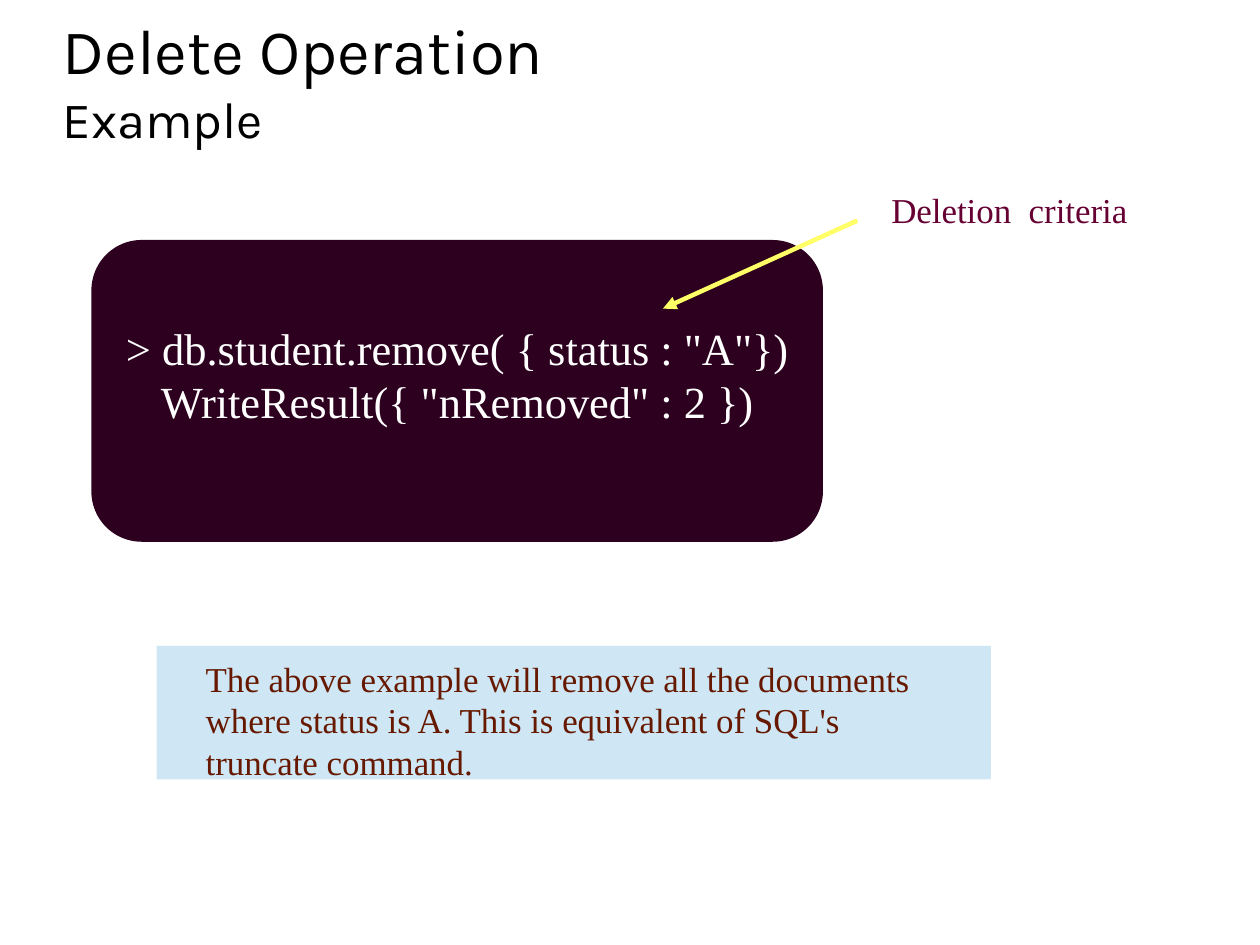
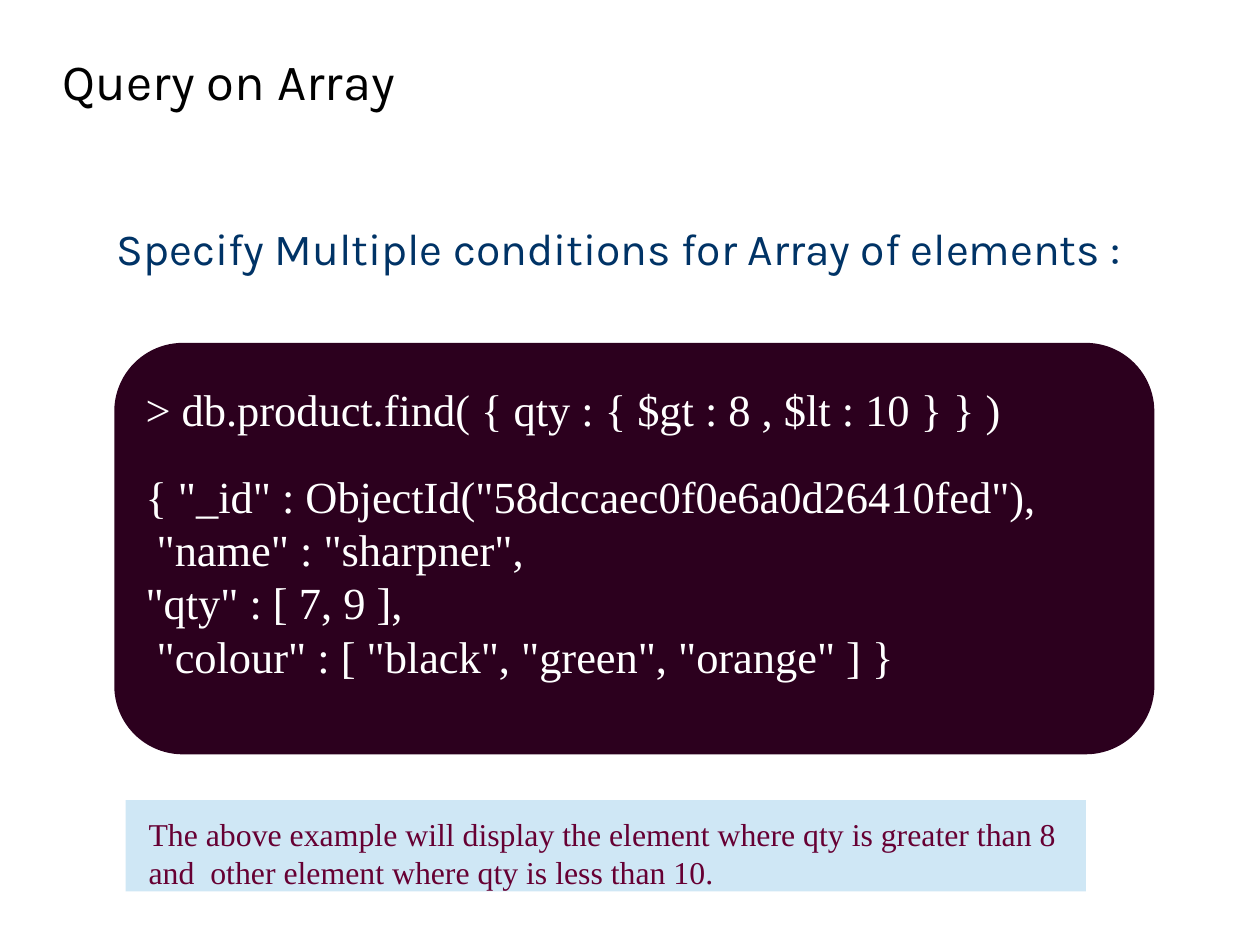
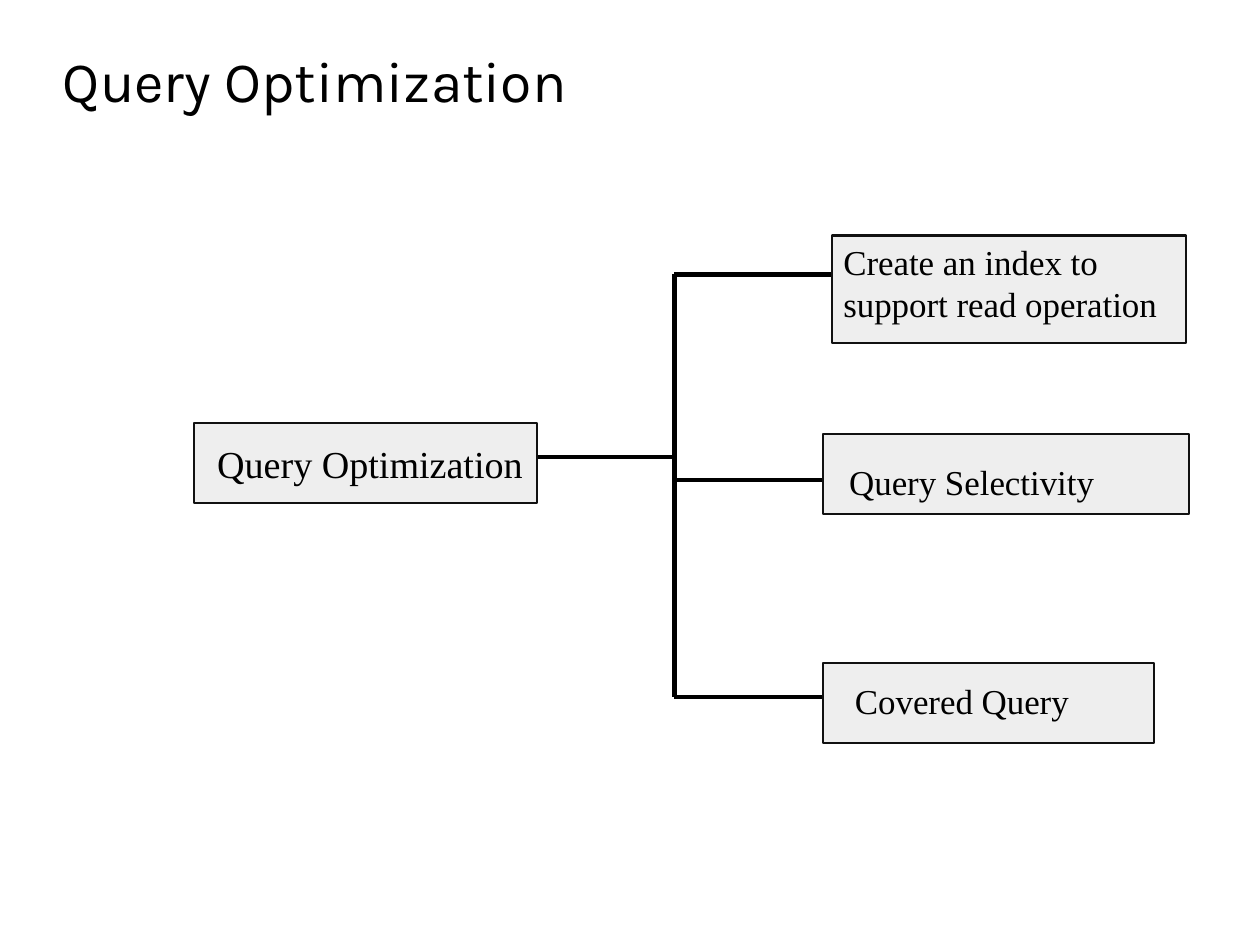
from dataclasses import dataclass

from lxml.etree import SubElement
from pptx import Presentation
from pptx.dml.color import RGBColor
from pptx.enum.shapes import MSO_CONNECTOR, MSO_SHAPE
from pptx.enum.text import MSO_ANCHOR, PP_ALIGN
from pptx.oxml.ns import qn
from pptx.util import Inches, Pt


@dataclass(frozen=True)
class Theme:
    heading_font: str = "Karla"
    body_font: str = "Times New Roman"
    black: str = "000000"
    white: str = "FFFFFF"
    code_fill: str = "2C001E"
    note_fill: str = "CFE7F5"
    node_fill: str = "EEEEEE"
    node_line: str = "111111"
    plum: str = "660033"
    brown: str = "661900"
    navy: str = "003366"
    arrow: str = "FFFF66"
    title_large: int = 40
    title_medium: int = 36
    title_small: int = 32
    code_size: int = 28
    root_size: int = 24
    text_size: int = 22
    note_size: int = 20
    node_width: float = 1.42
    line_width: float = 2.83


theme = Theme()
CODE_MARGINS = (0.1, 0.05, 0.1, 0.34)
CM_PER_INCH = 2.54


def add_box(slide, at, lines, color, font=theme.body_font, fill=None, outline=None,
            margins=(0.1, 0.05, 0.1, 0), kind=MSO_SHAPE.RECTANGLE,
            anchor=MSO_ANCHOR.TOP, align=PP_ALIGN.LEFT, one_paragraph=False):
    """Add a text box, or a filled shape, with one line for each (text, size)."""
    place = [Inches(length) for length in at]
    if fill:
        shape = slide.shapes.add_shape(kind, *place)
        shape.shadow.inherit = False
        shape.fill.solid()
        shape.fill.fore_color.rgb = RGBColor.from_string(fill)
        if outline:
            shape.line.color.rgb = RGBColor.from_string(outline)
            shape.line.width = Pt(theme.node_width)
        else:
            shape.line.fill.background()
    else:
        shape = slide.shapes.add_textbox(*place)
    frame = shape.text_frame
    frame.word_wrap = True
    frame.vertical_anchor = anchor
    (frame.margin_left, frame.margin_top,
     frame.margin_right, frame.margin_bottom) = [Inches(length) for length in margins]
    paragraph = frame.paragraphs[0]
    for index, (text, size) in enumerate(lines):
        if index and one_paragraph:
            paragraph.add_line_break()
        elif index:
            paragraph = frame.add_paragraph()
        paragraph.alignment = align
        run = paragraph.add_run()
        run.text = text
        run.font.name = font
        run.font.size = Pt(size)
        run.font.color.rgb = RGBColor.from_string(color)
    return shape


def add_line(slide, start, end, color):
    line = slide.shapes.add_connector(
        MSO_CONNECTOR.STRAIGHT, *[Inches(length) for length in start + end])
    line.line.color.rgb = RGBColor.from_string(color)
    line.line.width = Pt(theme.line_width)
    SubElement(line._element.spPr, qn("a:effectLst"))
    return line


# A page of 28 by 21 centimetres
presentation = Presentation()
presentation.slide_width = Inches(28 / CM_PER_INCH)
presentation.slide_height = Inches(21 / CM_PER_INCH)

# Slides and their titles
titles = [
    [("Delete Operation", theme.title_large), ("Example", theme.title_small)],
    [("Query on Array", theme.title_small)],
    [("Query Optimization", theme.title_medium)],
]
slides = []
for title in titles:
    slide = presentation.slides.add_slide(presentation.slide_layouts[6])
    add_box(slide, (0.55, 0.01, 9.92, 1.38), title, theme.black, theme.heading_font,
            margins=(0, 0, 0, 0), anchor=MSO_ANCHOR.MIDDLE, one_paragraph=True)
    slides.append(slide)
delete_slide, array_slide, optimization_slide = slides

# Delete operation: code, criteria arrow, explanation
delete_code = ['> db.student.remove( { status : "A"})', 'WriteResult({ "nRemoved" : 2 })']
add_box(delete_slide, (0.8, 2.1, 6.4, 2.64),
        [(text, theme.code_size) for text in delete_code], theme.white,
        fill=theme.code_fill, margins=CODE_MARGINS, kind=MSO_SHAPE.ROUNDED_RECTANGLE,
        anchor=MSO_ANCHOR.MIDDLE, align=PP_ALIGN.CENTER)
criteria_arrow = add_line(delete_slide, (7.5, 1.93), (5.8, 2.7), theme.arrow)
SubElement(criteria_arrow.line._get_or_add_ln(), qn("a:tailEnd"), type="triangle")
add_box(delete_slide, (7.7, 1.6, 2.3, 0.7),
        [("Deletion  criteria", theme.text_size)], theme.plum)
add_box(delete_slide, (1.37, 5.65, 7.3, 1.17),
        [("The above example will remove all the documents where status is A. "
          "This is equivalent of SQL's truncate command.", theme.text_size)],
        theme.brown, fill=theme.note_fill, margins=(0.43, 0.1, 0.57, 0))

# Query on array: heading, code, explanation
add_box(array_slide, (0.55, 1.93, 9.92, 0.6),
        [("Specify Multiple conditions for Array of elements :", theme.code_size)],
        theme.navy, theme.heading_font, margins=(0.47, 0, 0, 0))
array_code = [
    "> db.product.find( { qty : { $gt : 8 , $lt : 10 } } )",
    '{ "_id" : ObjectId("58dccaec0f0e6a0d26410fed"),',
    ' "name" : "sharpner",',
    '"qty" : [ 7, 9 ],',
    ' "colour" : [ "black", "green", "orange" ] }',
]
code_panel = add_box(array_slide, (1, 3, 9.1, 3.6),
                     [(text, theme.code_size) for text in array_code], theme.white,
                     fill=theme.code_fill, margins=CODE_MARGINS,
                     kind=MSO_SHAPE.ROUNDED_RECTANGLE, anchor=MSO_ANCHOR.MIDDLE)
code_panel.text_frame.paragraphs[0].space_after = Pt(21)
add_box(array_slide, (1.1, 7, 8.4, 0.8),
        [("The above example will display the element where qty is greater than 8 "
          "and  other element where qty is less than 10.", theme.note_size)],
        theme.plum, fill=theme.note_fill, margins=(0.2, 0.13, 0.1, 0))

# Query optimization: connecting lines
trunk_x, branch_x = 5.9, 7.3
branch_heights = (2.4, 4.2, 6.1)
add_line(optimization_slide, (4.7, 4), (trunk_x, 4), theme.black)
add_line(optimization_slide, (trunk_x, branch_heights[0]),
         (trunk_x, branch_heights[-1]), theme.black)
for height in branch_heights:
    add_line(optimization_slide, (trunk_x, height), (branch_x, height), theme.black)

# Query optimization: nodes with left and top text margins
nodes = [
    ("Query Optimization", theme.root_size, (1.7, 3.7, 3, 0.7), 0.2, 0.15),
    ("Create an index to support read operation", theme.text_size,
     (7.28, 2.06, 3.1, 0.94), 0.1, 0.05),
    ("Query Selectivity", theme.text_size, (7.2, 3.8, 3.2, 0.7), 0.23, 0.23),
    ("Covered Query", theme.text_size, (7.2, 5.8, 2.9, 0.7), 0.28, 0.15),
]
for text, size, at, left, top in nodes:
    add_box(optimization_slide, at, [(text, size)], theme.black, fill=theme.node_fill,
            outline=theme.node_line, margins=(left, top, 0, 0))

presentation.save("out.pptx")
